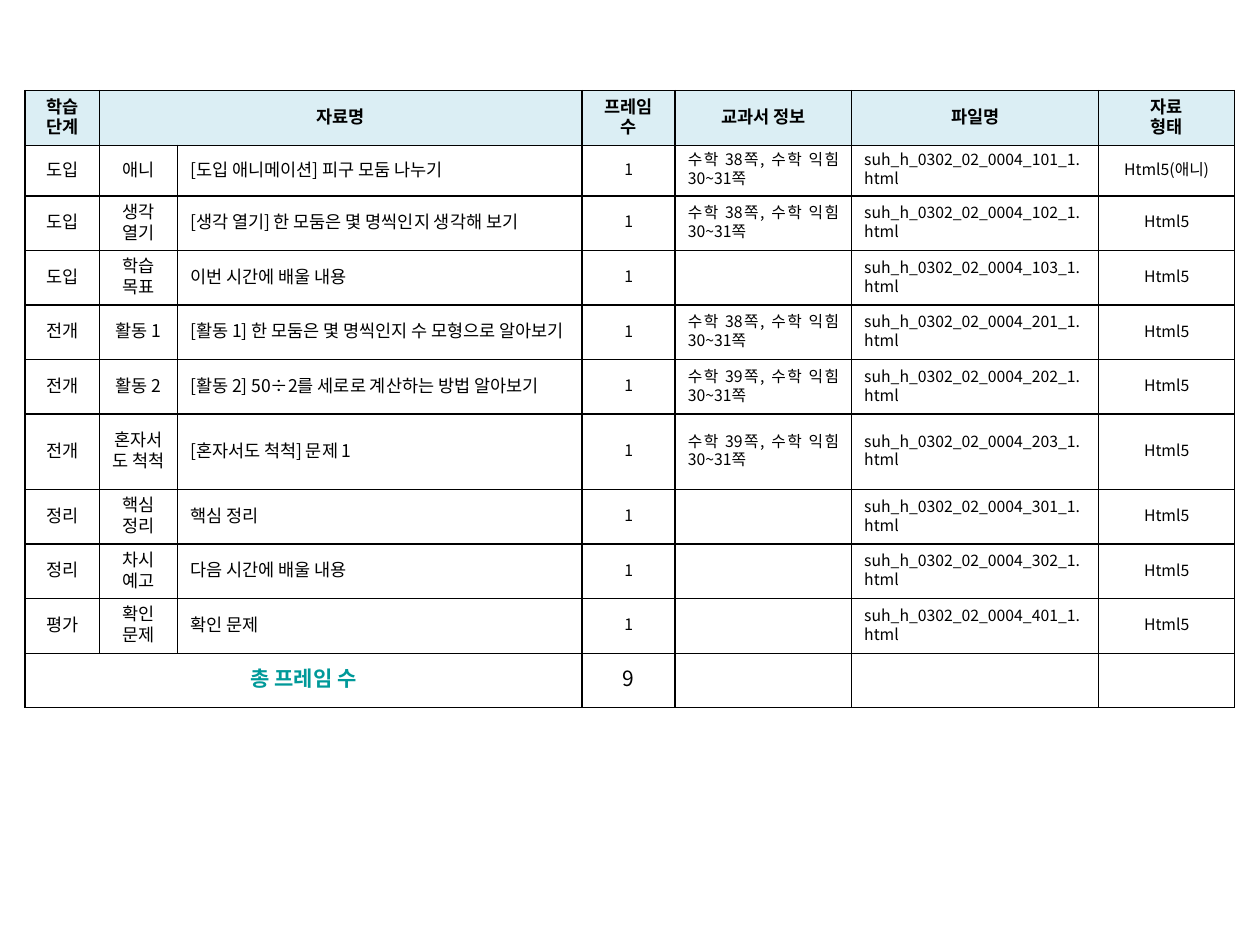
from lxml.etree import SubElement
from pptx import Presentation
from pptx.dml.color import RGBColor
from pptx.enum.text import MSO_ANCHOR as Anchor, PP_ALIGN as Align
from pptx.oxml import parse_xml
from pptx.oxml.ns import nsdecls, qn
from pptx.util import Inches, Pt

COLORS = {"header": "DBEEF4", "text": "000000", "border": "000000", "total": "009999"}
FONT = "Noto Sans CJK KR"
LINE_RATIO = 1.2
COLUMN_WIDTHS = [0.59, 0.62, 3.21, 0.74, 1.4, 1.96, 1.08]
ROW_HEIGHTS = [0.43, 0.4] + [0.43] * 4 + [0.6] + [0.43] * 4
HEADINGS = ["학습 단계", "자료명", "", "프레임 수", "교과서 정보", "파일명", "자료\n형태"]
BODY_SIZES = [10, 10, 10, 9, 9, 9, 9]
BODY_ALIGNS = [Align.CENTER, Align.CENTER, Align.LEFT, Align.CENTER,
               Align.JUSTIFY, Align.JUSTIFY, Align.CENTER]
LESSON_STEPS = [
    ("도입", "애니", "[도입 애니메이션] 피구 모둠 나누기", 38, "101"),
    ("도입", "생각 열기", "[생각 열기] 한 모둠은 몇 명씩인지 생각해 보기", 38, "102"),
    ("도입", "학습 목표", "이번 시간에 배울 내용", None, "103"),
    ("전개", "활동 1", "[활동 1] 한 모둠은 몇 명씩인지 수 모형으로 알아보기", 38, "201"),
    ("전개", "활동 2", "[활동 2] 50÷2를 세로로 계산하는 방법 알아보기", 39, "202"),
    ("전개", "혼자서도 척척", "[혼자서도 척척] 문제 1", 39, "203"),
    ("정리", "핵심 정리", "핵심 정리", None, "301"),
    ("정리", "차시 예고", "다음 시간에 배울 내용", None, "302"),
    ("평가", "확인 문제", "확인 문제", None, "401"),
]


def add_lesson_table(slide):
    """Add the unstyled table grid and return its table."""
    table = slide.shapes.add_table(
        len(ROW_HEIGHTS), len(COLUMN_WIDTHS), Inches(0.2), Inches(0.72),
        Inches(sum(COLUMN_WIDTHS)), Inches(sum(ROW_HEIGHTS))).table
    table.first_row = table.horz_banding = False
    for column, width in zip(table.columns, COLUMN_WIDTHS):
        column.width = Inches(width)
    for row, height in zip(table.rows, ROW_HEIGHTS):
        row.height = Inches(height)
    return table


def style_cell(cell, fill=None):
    """Give a cell its fill, middle anchor and thin border."""
    cell.vertical_anchor = Anchor.MIDDLE
    if fill:
        cell.fill.solid()
        cell.fill.fore_color.rgb = RGBColor.from_string(COLORS[fill])
    else:
        cell.fill.background()
    properties = cell._tc.get_or_add_tcPr()
    for position, side in enumerate(["lnL", "lnR", "lnT", "lnB"]):
        properties.insert(position, parse_xml(
            f'<a:{side} {nsdecls("a")} w="{Pt(1)}"><a:solidFill>'
            f'<a:srgbClr val="{COLORS["border"]}"/></a:solidFill></a:{side}>'))


def write_cell(cell, text, size, align=Align.CENTER, bold=False, color="text"):
    """Write each line of text as a paragraph, or size an empty cell."""
    frame = cell.text_frame
    for number, line in enumerate(text.split("\n")):
        paragraph = frame.add_paragraph() if number else frame.paragraphs[0]
        paragraph.alignment = align
        paragraph.line_spacing = Pt(size * LINE_RATIO)
        if not line:
            SubElement(paragraph._p, qn("a:endParaRPr"), sz=str(size * 100))
            continue
        run = paragraph.add_run()
        run.text = line
        font = run.font
        font.name, font.size, font.bold = FONT, Pt(size), bold
        font.color.rgb = RGBColor.from_string(COLORS[color])
        SubElement(font._element, qn("a:ea"), typeface=FONT)


def fill_header(table):
    """Write the headings, the material name spanning two columns."""
    for column, heading in enumerate(HEADINGS):
        cell = table.cell(0, column)
        style_cell(cell, "header")
        write_cell(cell, heading, 10, bold=True)
    table.cell(0, 1).merge(table.cell(0, 2))


def fill_steps(table):
    """Write one row for each lesson step."""
    for row, (stage, activity, title, page, code) in enumerate(LESSON_STEPS, 1):
        textbook = f"수학 {page}쪽, 수학 익힘 30~31쪽" if page else ""
        file_name = f"suh_h_0302_02_0004_{code}_1.html"
        file_type = "Html5(애니)" if activity == "애니" else "Html5"
        texts = [stage, activity, title, "1", textbook, file_name, file_type]
        for column, text in enumerate(texts):
            cell = table.cell(row, column)
            style_cell(cell)
            write_cell(cell, text, BODY_SIZES[column], BODY_ALIGNS[column])


def fill_total(table):
    """Write the closing row with the total frame count."""
    last = len(ROW_HEIGHTS) - 1
    totals = {0: "총 프레임 수", 3: str(len(LESSON_STEPS))}
    for column in range(len(COLUMN_WIDTHS)):
        cell = table.cell(last, column)
        style_cell(cell)
        is_label = column == 0
        write_cell(cell, totals.get(column, ""), 12, bold=is_label,
                   color="total" if is_label else "text")
    table.cell(last, 0).merge(table.cell(last, 2))


def main():
    """Build the lesson material slide and save it."""
    deck = Presentation()
    deck.slide_width, deck.slide_height = Inches(10), Inches(7.5)
    slide = deck.slides.add_slide(deck.slide_layouts[6])
    table = add_lesson_table(slide)
    fill_header(table)
    fill_steps(table)
    fill_total(table)
    deck.save("out.pptx")


if __name__ == "__main__":
    main()
